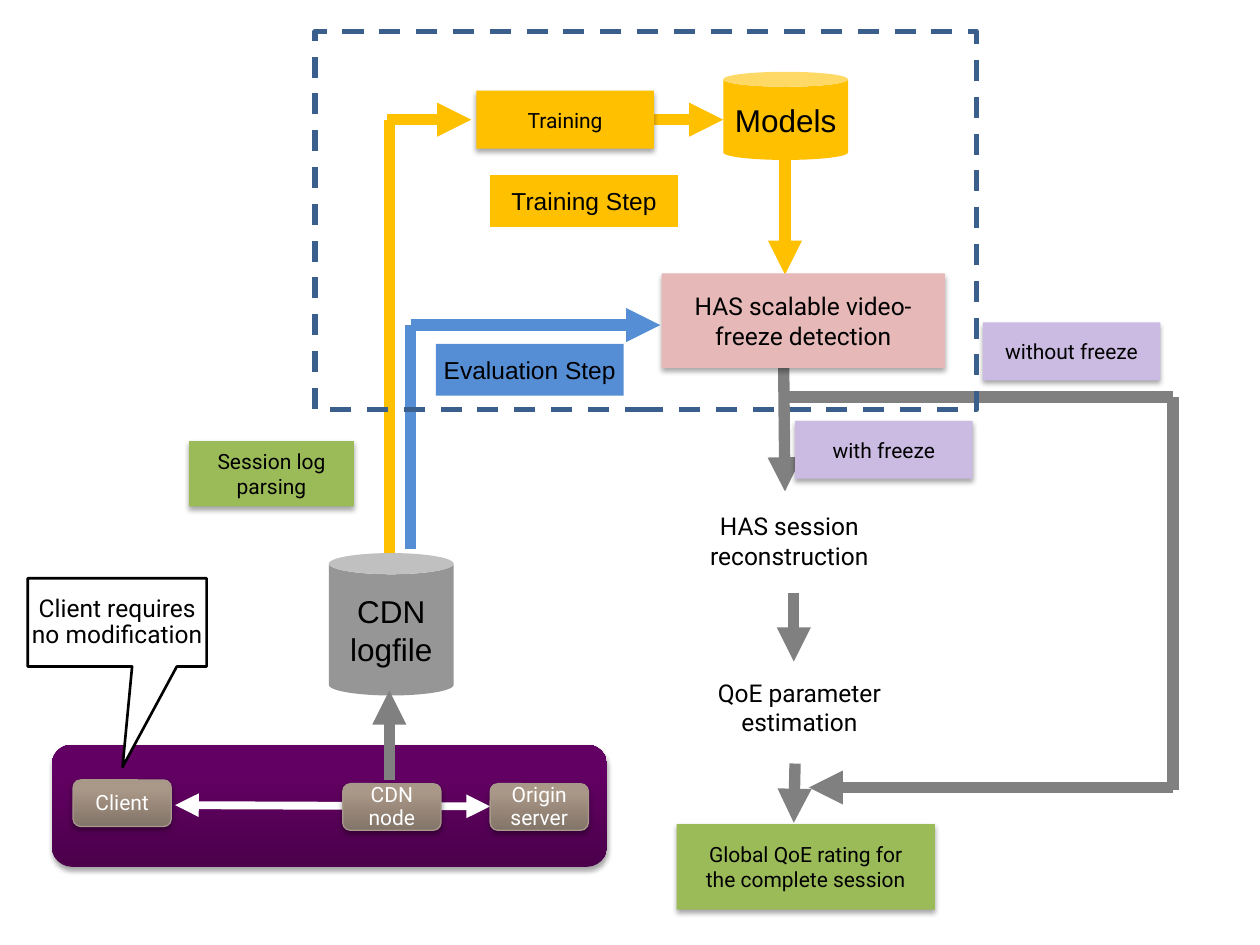
from lxml.etree import SubElement
from pptx import Presentation
from pptx.dml.color import RGBColor
from pptx.enum.dml import MSO_LINE
from pptx.enum.shapes import MSO_CONNECTOR, MSO_SHAPE
from pptx.enum.text import MSO_ANCHOR, PP_ALIGN
from pptx.oxml import parse_xml
from pptx.oxml.ns import nsdecls, qn
from pptx.util import Inches, Pt

SHADOW = (f'<a:outerShdw {nsdecls("a")} blurRad="39370" dist="22860" dir="5400000" rotWithShape="0">'
          '<a:srgbClr val="000000"><a:alpha val="35000"/></a:srgbClr></a:outerShdw>')
GRAY, GOLD, BLUE, GREEN, LILAC = "808080", "FFC000", "558ED5", "9BBB59", "CBBBE3"

deck = Presentation()
deck.slide_width, deck.slide_height = Inches(10), Inches(7.5)
slide = deck.slides.add_slide(deck.slide_layouts[6])
shapes = slide.shapes


def hue(code):
    return RGBColor.from_string(code)


def block(kind, at, fill=None, text="", size=12, font="Roboto", ink="000000",
          inset=0.16, shade=False, edge=None, weight=0.75, wrap=True, pitch=1.0):
    """Add a shape with centred text; a pair of fill colours runs from bottom to top."""
    shape = shapes.add_shape(kind, *[Inches(v) for v in at])
    shape.shadow.inherit = False
    if shade:
        shape._element.spPr.find(qn("a:effectLst")).append(parse_xml(SHADOW))
    if fill is None:
        shape.fill.background()
    elif isinstance(fill, tuple):
        shape.fill.gradient()
        shape.fill.gradient_angle = 90
        for stop, code, spot in zip(shape.fill.gradient_stops, fill, (0, 0.8)):
            stop.color.rgb = hue(code)
            stop.position = spot
    else:
        shape.fill.solid()
        shape.fill.fore_color.rgb = hue(fill)
    if edge:
        shape.line.color.rgb = hue(edge)
        shape.line.width = Pt(weight)
    else:
        shape.line.fill.background()
    frame = shape.text_frame
    frame.word_wrap = wrap
    frame.vertical_anchor = MSO_ANCHOR.MIDDLE
    frame.margin_left = frame.margin_right = Inches(inset)
    frame.margin_top = frame.margin_bottom = Inches(min(inset, 0.05))
    frame.text = text
    for para in frame.paragraphs:
        para.alignment = PP_ALIGN.CENTER
        para.line_spacing = pitch
        para.font.size = Pt(size)
        para.font.name = font
        para.font.color.rgb = hue(ink)
    return shape


def link(start, end, code, ends=("tailEnd",), weight=6.5):
    """Add a straight line with arrowheads at the named ends."""
    line = shapes.add_connector(MSO_CONNECTOR.STRAIGHT, *[Inches(v) for v in start + end])
    line.line.color.rgb = hue(code)
    line.line.width = Pt(weight)
    for name in ends:
        SubElement(line.line._get_or_add_ln(), qn("a:" + name), type="triangle")
    SubElement(line._element.spPr, qn("a:effectLst"))


# Delivery network
panel = block(MSO_SHAPE.ROUNDED_RECTANGLE, (0.41, 5.91, 4.41, 0.97),
              ("4C004C", "630063"), shade=True)
link((1.39, 6.39), (3.89, 6.4), "FFFFFF", ("headEnd", "tailEnd"), 4.5)
for left, top, name in [(0.58, 6.19, "Client"), (2.72, 6.22, "CDN node"),
                        (3.89, 6.22, "Origin server")]:
    block(MSO_SHAPE.ROUNDED_RECTANGLE, (left, top, 0.78, 0.37), ("827468", "A99787"), name,
          ink="FFFFFF", inset=0.1, shade=True, edge="A7998B", pitch=0.9)
note = block(MSO_SHAPE.RECTANGULAR_CALLOUT, (0.22, 4.59, 1.42, 0.7), "FFFFFF",
             "Client requires no modification", 14, inset=0, edge="000000", weight=1.5, pitch=0.9)
note.adjustments[0], note.adjustments[1] = 0.03, 1.64

# Stores
for at, code, name in [((2.61, 4.39, 0.99, 1.13), "969696", "CDN\nlogfile"),
                       ((5.74, 0.57, 0.99, 0.7), GOLD, "Models")]:
    can = block(MSO_SHAPE.CAN, at, code, name, 18, "Arial", inset=0.1, wrap=False)
    can.adjustments[0] = 0.17

# Flow lines
for start, end, code in [
    ((3.26, 2.58), (5.24, 2.58), BLUE),
    ((3.09, 6.19), (3.09, 5.48), GRAY),
    ((6.22, 2.92), (6.23, 3.9), GRAY),
    ((6.3, 4.71), (6.3, 5.25), GRAY),
    ((6.31, 6.06), (6.3, 6.53), GRAY),
    ((9.31, 6.25), (6.42, 6.25), GRAY),
    ((3.07, 0.95), (3.74, 0.95), GOLD),
    ((5.06, 0.95), (5.74, 0.95), GOLD),
    ((6.23, 1.17), (6.23, 2.18), GOLD),
]:
    link(start, end, code)
for start, end, code in [
    ((3.26, 4.36), (3.26, 2.58), BLUE),
    ((3.09, 4.39), (3.09, 0.95), GOLD),
    ((6.22, 3.15), (9.31, 3.15), GRAY),
    ((9.31, 6.27), (9.31, 3.15), GRAY),
]:
    link(start, end, code, ())

# Steps
for at, code, text, size in [
    ((1.5, 3.5, 1.31, 0.52), GREEN, "Session log\nparsing", 12),
    ((5.37, 6.54, 2.05, 0.68), GREEN, "Global QoE rating for the complete session", 12),
    ((7.8, 2.56, 1.41, 0.46), LILAC, "without freeze", 12),
    ((6.31, 3.34, 1.41, 0.46), LILAC, "with freeze", 12),
    ((3.78, 0.72, 1.41, 0.46), GOLD, "Training", 12),
    ((5.25, 2.17, 2.25, 0.75), "E6B9B8", "HAS scalable video-freeze detection", 14),
]:
    block(MSO_SHAPE.RECTANGLE, at, code, text, size, shade=True)
for left, top, code, text in [(3.46, 2.73, BLUE, "Evaluation Step"),
                              (3.89, 1.39, GOLD, "Training Step")]:
    block(MSO_SHAPE.RECTANGLE, (left, top, 1.49, 0.41), code, text, 14, "Arial",
          inset=0.1, wrap=False)
for left, top, text in [(5.25, 3.9, "HAS session reconstruction"),
                        (5.33, 5.22, "QoE parameter estimation")]:
    box = shapes.add_textbox(Inches(left), Inches(top), Inches(2.03), Inches(0.77))
    frame = box.text_frame
    frame.word_wrap = True
    frame.margin_left = frame.margin_right = Inches(0.16)
    frame.margin_top = frame.margin_bottom = Inches(0.16)
    frame.text = text
    para = frame.paragraphs[0]
    para.alignment = PP_ALIGN.CENTER
    para.font.size = Pt(14)
    para.font.name = "Roboto"
    para.font.color.rgb = hue("000000")

border = block(MSO_SHAPE.RECTANGLE, (2.5, 0.25, 5.25, 3), edge="3A5F8C", weight=3)
border.line.dash_style = MSO_LINE.DASH

deck.save("out.pptx")
